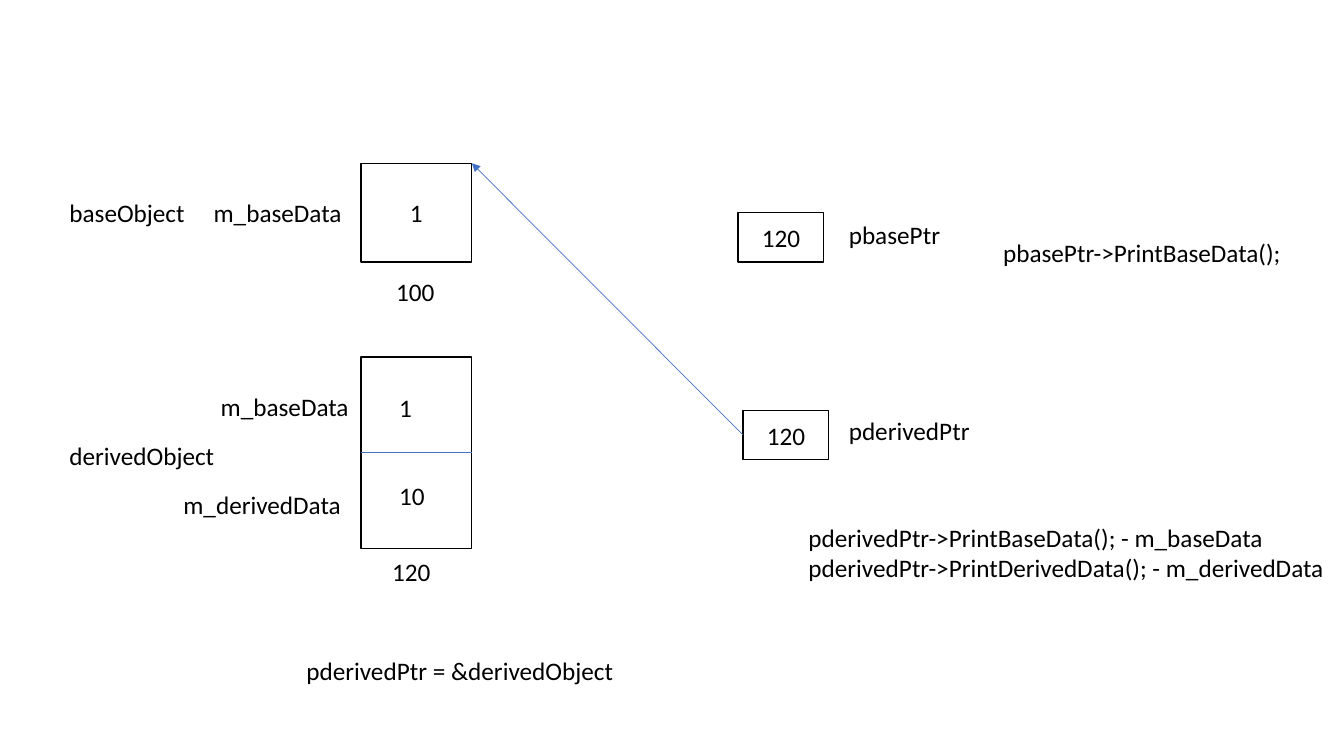
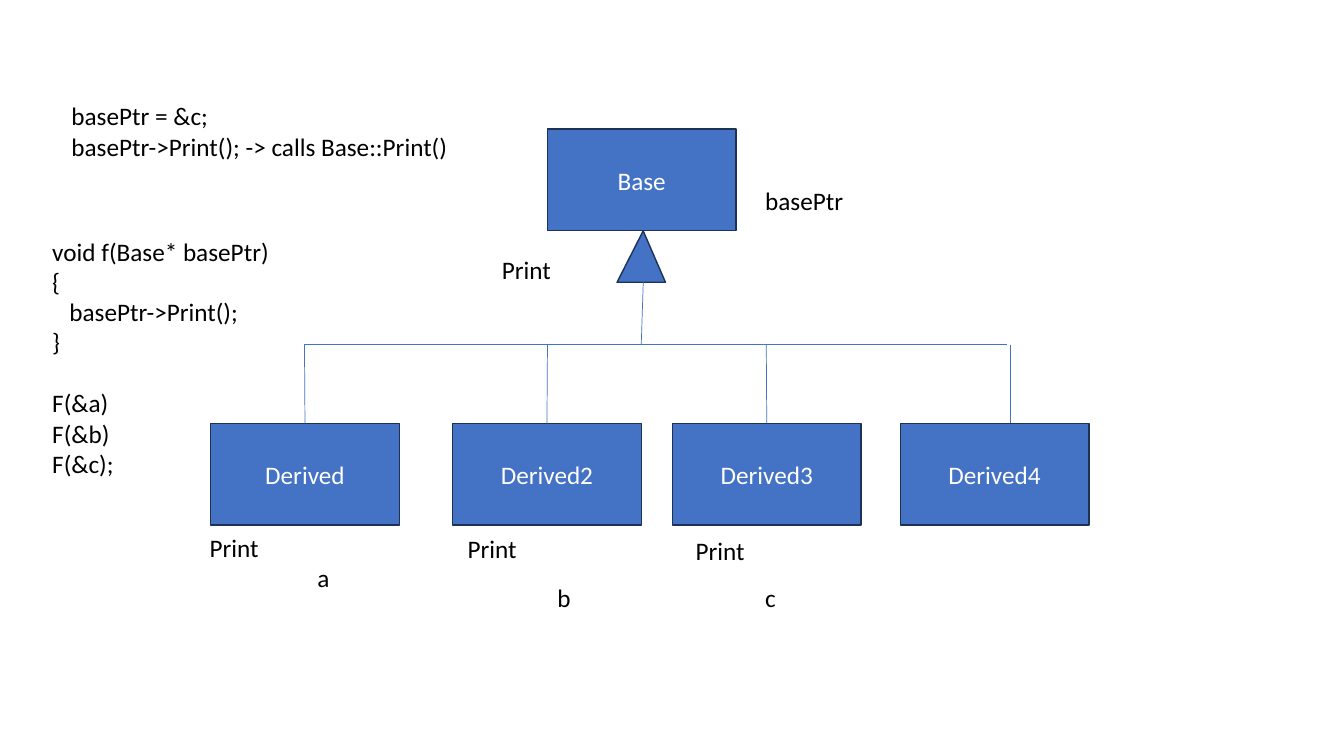
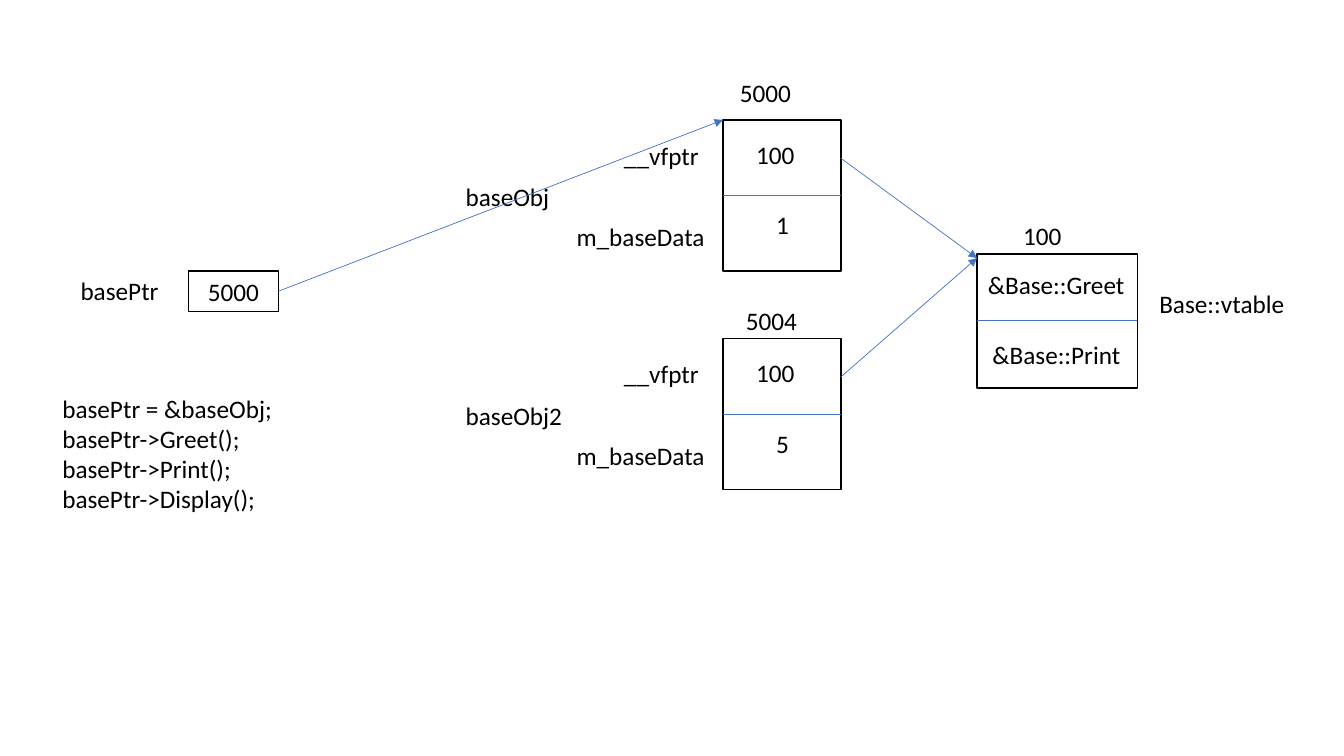
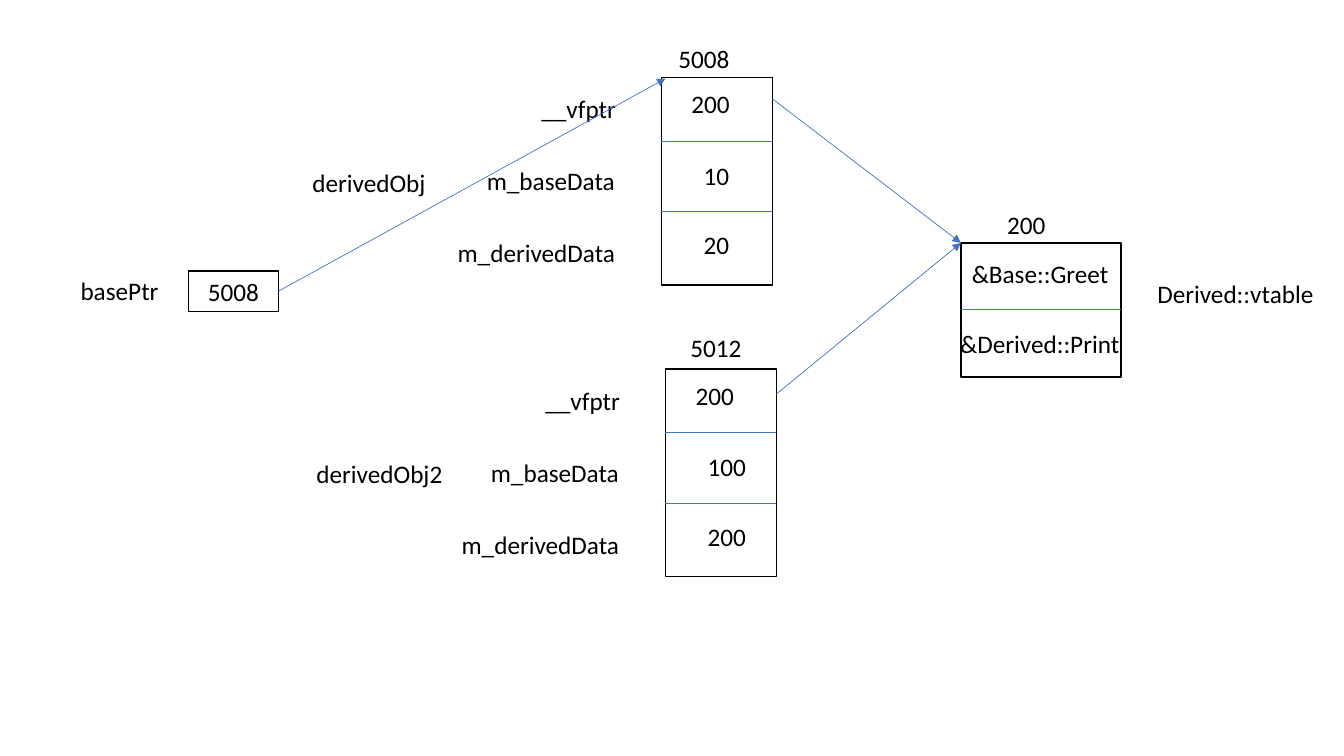
import pptx
import pptx.dml.color
import pptx.enum.shapes
import pptx.enum.text
import pptx.oxml.ns
import pptx.util
from lxml import etree
from pptx.util import Inches

COLOURS = {"ink": "000000", "paper": "FFFFFF", "blue": "4472C4", "navy": "1E3256"}
FONT = "Calibri"
TEXT_SIZE = 18
LINE_HEIGHT = 0.3
SHAPES = pptx.enum.shapes.MSO_SHAPE


def colour(name):
    """Return a named colour."""
    return pptx.dml.color.RGBColor.from_string(COLOURS[name])


def style(para, ink="ink"):
    """Give a paragraph the shared font."""
    para.font.name = FONT
    para.font.size = pptx.util.Pt(TEXT_SIZE)
    para.font.color.rgb = colour(ink)


def label(page, left, top, text, width=None):
    """Write lines of text, sizing the box to digits when no width is given."""
    lines = text.split("\n")
    width = width or 0.2 + 0.128 * len(text)
    height = 0.1 + LINE_HEIGHT * len(lines)
    box = page.shapes.add_textbox(Inches(left), Inches(top), Inches(width), Inches(height))
    frame = box.text_frame
    frame.word_wrap = False
    frame.auto_size = pptx.enum.text.MSO_AUTO_SIZE.SHAPE_TO_FIT_TEXT
    for index, line in enumerate(lines):
        para = frame.paragraphs[0] if index == 0 else frame.add_paragraph()
        para.text = line
        style(para)
    return box


def block(page, left, top, width, height, text="", kind=SHAPES.RECTANGLE,
          fill="paper", line="ink", ink="ink"):
    """Draw an outlined shape with centred text."""
    shape = page.shapes.add_shape(kind, Inches(left), Inches(top), Inches(width), Inches(height))
    shape.shadow.inherit = False
    shape.fill.solid()
    shape.fill.fore_color.rgb = colour(fill)
    shape.line.color.rgb = colour(line)
    shape.line.width = pptx.util.Pt(1)
    if text:
        shape.text_frame.vertical_anchor = pptx.enum.text.MSO_ANCHOR.MIDDLE
        para = shape.text_frame.paragraphs[0]
        para.text = text
        para.alignment = pptx.enum.text.PP_ALIGN.CENTER
        style(para, ink)
    return shape


def wire(page, start, end, arrow=False):
    """Draw a thin straight line, with an arrowhead at its end if asked."""
    connector = page.shapes.add_connector(
        pptx.enum.shapes.MSO_CONNECTOR.STRAIGHT, *map(Inches, (*start, *end)))
    connector.line.color.rgb = colour("blue")
    connector.line.width = pptx.util.Pt(0.5)
    properties = connector._element.spPr
    if arrow:
        outline = properties.find(pptx.oxml.ns.qn("a:ln"))
        etree.SubElement(outline, pptx.oxml.ns.qn("a:tailEnd"), type="triangle")
    etree.SubElement(properties, pptx.oxml.ns.qn("a:effectLst"))
    return connector


def memory_box(page, left, top, width, height, dividers):
    """Draw a box split by horizontal lines at the given depths."""
    block(page, left, top, width, height)
    for depth in dividers:
        wire(page, (left, top + depth), (left + width, top + depth))


def base_instance(page, left, top, name, name_width, value):
    """Draw a Base object with its two fields."""
    memory_box(page, left, top, 1.17, 1.5, [0.75])
    label(page, left - 1.08, top + 0.15, "__vfptr", 0.95)
    label(page, left - 1.55, top + 0.96, "m_baseData", 1.49)
    label(page, left - 2.65, top + 0.56, name, name_width)
    label(page, left + 0.23, top + 0.14, "100")
    label(page, left + 0.43, top + 0.84, value)


def derived_instance(page, left, top, name, name_width, values):
    """Draw a Derived object with its three fields."""
    memory_box(page, left, top, 1.1, 2.06, [0.63, 1.33])
    fields = [("__vfptr", 0.95), ("m_baseData", 1.49), ("m_derivedData", 1.78)]
    for row, (field, width) in enumerate(fields):
        label(page, left - 0.34 - width, top + 0.11 + 0.715 * row, field, width)
    label(page, left - 3.56, top + 0.84, name, name_width)
    label(page, left + 0.2, top + 0.06, "200")
    for row, value in enumerate(values):
        label(page, left + 0.32, top + 0.77 + 0.69 * row, value)


def vtable(page, left, top, address, printer, printer_width):
    """Draw a table of function addresses."""
    width = 1.59
    memory_box(page, left, top, width, 1.33, [0.66])
    for text, text_width, depth in [("&Base::Greet", 1.57, 0.1), (printer, printer_width, 0.8)]:
        label(page, left + (width - text_width) / 2, top + depth, text, text_width)
    label(page, left + 0.36, top - 0.38, address)


def base_pointer(page, address, target):
    """Draw basePtr and its arrow to an object."""
    left, top, width, height = 1.87, 2.69, 0.89, 0.4
    cell = block(page, left, top, width, height, address)
    label(page, left - 1.17, top - 0.01, "basePtr", 0.98)
    arrow = wire(page, (left + width, top + height / 2), target, arrow=True)
    arrow.begin_connect(cell, 3)


def pointers_slide(page):
    """Show base and derived pointers beside their objects."""
    left, width = 3.58, 1.1
    block(page, left, 1.62, width, 0.98, "1")
    memory_box(page, left, 3.54, width, 1.9, [0.95])
    for x, y, text, text_width in [
        (0.59, 1.91, "baseObject", 1.36),
        (2.02, 1.91, "m_baseData", 1.49),
        (0.59, 4.32, "derivedObject", 1.65),
        (2.09, 3.83, "m_baseData", 1.49),
        (1.72, 4.81, "m_derivedData", 1.78),
        (3.86, 3.84, "1", None),
        (3.86, 4.72, "10", None),
        (3.83, 2.69, "100", None),
        (3.79, 5.47, "120", None),
        (8.32, 2.13, "pbasePtr", 1.12),
        (9.85, 2.31, "pbasePtr->PrintBaseData();", 2.99),
        (8.32, 4.07, "pderivedPtr", 1.41),
        (7.92, 5.13, "pderivedPtr->PrintBaseData(); - m_baseData\n"
                     "pderivedPtr->PrintDerivedData(); - m_derivedData", 5.38),
        (2.94, 6.45, "pderivedPtr = &derivedObject", 3.28),
    ]:
        label(page, x, y, text, text_width)
    block(page, 7.32, 2.11, 0.85, 0.49, "120")
    derived_cell = block(page, 7.37, 4.07, 0.85, 0.49, "120")
    arrow = wire(page, (7.37, 4.32), (left + width, 1.62), arrow=True)
    arrow.begin_connect(derived_cell, 1)


def class_block(page, left, top, name):
    """Draw one class of the hierarchy."""
    return block(page, left, top, 1.87, 1.01, name, fill="blue", line="navy", ink="paper")


def hierarchy_slide(page):
    """Show a base class, its derived classes and calls through a pointer."""
    rail, row = 3.42, 4.2
    class_block(page, 5.43, 1.28, "Base")
    triangle = block(page, 6.12, 2.29, 0.48, 0.51, kind=SHAPES.ISOSCELES_TRIANGLE,
                     fill="blue", line="navy")
    triangle.adjustments[0] = 0.54
    for left, drop, name in [(2.09, 3.02, "Derived"), (4.49, 5.43, "Derived2"),
                             (6.67, 7.6, "Derived3"), (8.93, 10.02, "Derived4")]:
        child = class_block(page, left, row, name)
        branch = wire(page, (drop, rail), (drop, row))
        if name != "Derived4":
            branch.end_connect(child, 0)
    wire(page, (3.02, rail), (9.99, rail))
    wire(page, (6.38, 2.8), (6.36, rail))
    for left, top in [(4.88, 2.47), (1.98, 5.23), (4.54, 5.24), (6.8, 5.26)]:
        label(page, left, top, "Print", 0.69)
    for left, top, name in [(3.05, 5.53, "a"), (5.43, 5.73, "b"), (7.49, 5.73, "c")]:
        label(page, left, top, name, 0.32)
    label(page, 7.49, 1.79, "basePtr", 0.98)
    label(page, 0.61, 0.95, "basePtr = &c;\nbasePtr->Print(); -> calls Base::Print()", 3.98)
    code = label(page, 0.42, 2.29, "void f(Base* basePtr)\n{\nbasePtr->Print();\n}\n"
                                   "F(&a)\nF(&b)\nF(&c);", 2.37)
    code.height = Inches(2.52)
    paras = code.text_frame.paragraphs
    paras[2]._p.get_or_add_pPr().set("marL", str(Inches(0.17)))
    paras[4].space_before = pptx.util.Pt(22)


def base_vtable_slide(page):
    """Show two Base objects sharing a vtable."""
    left, table_left, table_top = 7.17, 9.69, 2.52
    vtable(page, table_left, table_top, "100", "&Base::Print", 1.48)
    label(page, 11.4, 2.81, "Base::vtable", 1.46)
    for top, name, width, value in [(1.19, "baseObj", 1.04, "1"), (3.36, "baseObj2", 1.17, "5")]:
        base_instance(page, left, top, name, width, value)
        wire(page, (left + 1.17, top + 0.38), (table_left, table_top + 0.04), arrow=True)
    label(page, 7.24, 0.72, "5000")
    label(page, 7.3, 2.98, "5004")
    label(page, 0.52, 3.85, "basePtr = &baseObj;\nbasePtr->Greet();\n"
                            "basePtr->Print();\nbasePtr->Display();", 2.3)
    base_pointer(page, "5000", (left, 1.19))


def derived_vtable_slide(page):
    """Show two Derived objects sharing a vtable."""
    table_left, table_top = 9.53, 2.41
    vtable(page, table_left, table_top, "200", "&Derived::Print", 1.8)
    label(page, 11.38, 2.71, "Derived::vtable", 1.77)
    for left, top, name, width, values, leave in [
        (6.56, 0.77, "derivedObj", 1.34, ("10", "20"), 0.98),
        (6.6, 3.66, "derivedObj2", 1.47, ("100", "200"), 3.91),
    ]:
        derived_instance(page, left, top, name, width, values)
        wire(page, (left + 1.1, leave), (table_left, table_top), arrow=True)
    label(page, 6.63, 0.38, "5008")
    label(page, 6.75, 3.25, "5012")
    base_pointer(page, "5008", (6.6, 0.78))


def main():
    """Build and save the deck."""
    deck = pptx.Presentation()
    deck.slide_width, deck.slide_height = Inches(13.33), Inches(7.5)
    for build in (pointers_slide, hierarchy_slide, base_vtable_slide, derived_vtable_slide):
        build(deck.slides.add_slide(deck.slide_layouts[6]))
    deck.save("out.pptx")


if __name__ == "__main__":
    main()
